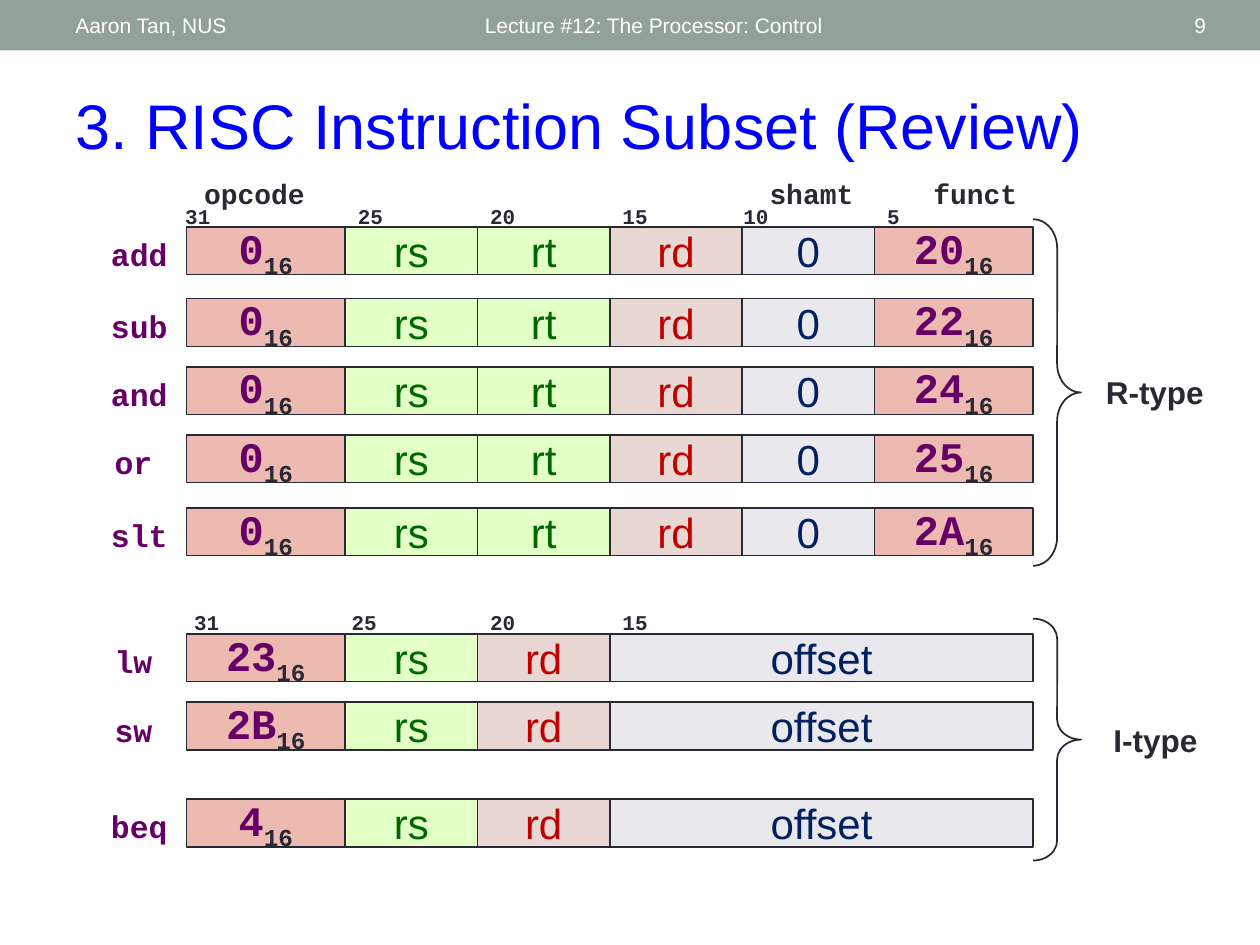
from dataclasses import dataclass

from pptx import Presentation
from pptx.dml.color import RGBColor
from pptx.enum.shapes import MSO_SHAPE
from pptx.enum.text import MSO_ANCHOR, PP_ALIGN
from pptx.util import Inches, Pt


@dataclass(frozen=True)
class Theme:
    sans: str = "Arial"
    mono: str = "Courier New"
    banner: str = "93A299"
    white: str = "FFFFFF"
    title: str = "0000FF"
    ink: str = "292934"
    code: str = "660066"
    code_fill: str = "EDBAB1"
    source: str = "006600"
    source_fill: str = "E2FFC5"
    target: str = "C00000"
    target_fill: str = "E9D7D3"
    value: str = "002060"
    value_fill: str = "E8E8ED"
    title_size: int = 36
    field_size: int = 24
    label_size: int = 18
    heading_size: int = 16
    small_size: int = 12


theme = Theme()

# Grid: one column per instruction bit, bit 31 at the left
BIT = 0.21
WORD_LEFT = 1.48
WORD_RIGHT = WORD_LEFT + 32 * BIT
ROW_HEIGHT = 0.38

deck = Presentation()
deck.slide_width, deck.slide_height = Inches(10), Inches(7.5)
slide = deck.slides.add_slide(deck.slide_layouts[6])


def write(text, *, at, size, color, font=theme.sans, bold=False, sub="", fill=None,
          align=PP_ALIGN.CENTER, anchor=MSO_ANCHOR.TOP, wrap=False):
    """Put text in a plain box, or in an outlined cell when a fill is given."""
    place = [Inches(length) for length in at]
    if fill:
        holder = slide.shapes.add_shape(MSO_SHAPE.RECTANGLE, *place)
        holder.shadow.inherit = False
        holder.fill.solid()
        holder.fill.fore_color.rgb = RGBColor.from_string(fill)
        holder.line.color.rgb = RGBColor.from_string(theme.ink)
        holder.line.width = Pt(1)
    else:
        holder = slide.shapes.add_textbox(*place)
    frame = holder.text_frame
    frame.word_wrap = wrap
    frame.vertical_anchor = anchor
    paragraph = frame.paragraphs[0]
    paragraph.alignment = align
    for words, shade in ((text, color), (sub, theme.ink)):
        if words:
            run = paragraph.add_run()
            run.text = words
            run.font.name, run.font.size, run.font.bold = font, Pt(size), bold
            run.font.color.rgb = RGBColor.from_string(shade)
    if sub:
        run._r.get_or_add_rPr().set("baseline", "-25000")


# Banner and title
banner = slide.shapes.add_shape(MSO_SHAPE.RECTANGLE, 0, 0, deck.slide_width, Inches(0.4))
banner.shadow.inherit = False
banner.fill.solid()
banner.fill.fore_color.rgb = RGBColor.from_string(theme.banner)
banner.line.fill.background()
for words, left, width, align in (
    ("Aaron Tan, NUS", 0.5, 3.17, PP_ALIGN.LEFT),
    ("Lecture #12: The Processor: Control", 3.75, 4.5, PP_ALIGN.LEFT),
    ("9", 8.72, 0.95, PP_ALIGN.RIGHT),
):
    write(words, at=(left, 0.02, width, 0.36), size=theme.small_size, color=theme.white,
          align=align, anchor=MSO_ANCHOR.MIDDLE, wrap=True)
write("3. RISC Instruction Subset (Review)", at=(0.5, 0.64, 9, 0.71),
      size=theme.title_size, color=theme.title, align=PP_ALIGN.LEFT, wrap=True)

# Field kinds: text colour, fill
code = (theme.code, theme.code_fill)
source = (theme.source, theme.source_fill)
target = (theme.target, theme.target_fill)
value = (theme.value, theme.value_fill)

# Layouts: text, width in bits, kind; a field without text takes the row's next hex code
r_fields = [(None, 6, code), ("rs", 5, source), ("rt", 5, source),
            ("rd", 5, target), ("0", 5, value), (None, 6, code)]
i_fields = [(None, 6, code), ("rs", 5, source), ("rd", 5, target), ("offset", 16, value)]

# Instructions: name, top, layout, hex codes
instructions = [
    ("add", 1.8, r_fields, ("0", "20")),
    ("sub", 2.37, r_fields, ("0", "22")),
    ("and", 2.91, r_fields, ("0", "24")),
    ("or", 3.45, r_fields, ("0", "25")),
    ("slt", 4.03, r_fields, ("0", "2A")),
    ("lw", 5.03, i_fields, ("23",)),
    ("sw", 5.57, i_fields, ("2B",)),
    ("beq", 6.34, i_fields, ("4",)),
]
for name, top, fields, hex_codes in instructions:
    left, width = (0.78, 0.65) if len(name) == 3 else (0.81, 0.5)
    write(name, at=(left, top + 0.02, width, 0.4), size=theme.label_size,
          color=theme.code, font=theme.mono, bold=True)
    codes = iter(hex_codes)
    left = WORD_LEFT
    for field, bits, (color, fill) in fields:
        is_code = field is None
        write(next(codes) if is_code else field, sub="16" if is_code else "",
              at=(left, top, bits * BIT, ROW_HEIGHT), size=theme.field_size,
              color=color, fill=fill, font=theme.mono if is_code else theme.sans,
              bold=is_code, wrap=not is_code, anchor=MSO_ANCHOR.MIDDLE)
        left += bits * BIT

# Field headings
for heading, left, width in (("opcode", 1.5, 1.04), ("shamt", 5.99, 0.9), ("funct", 7.29, 0.9)):
    write(heading, at=(left, 1.35, width, 0.37), size=theme.heading_size,
          color=theme.ink, font=theme.mono, bold=True)

# Bit numbers above the first row of each type, with their shift from the field's edge
bit_marks = [
    (1.57, ((31, -0.11), (25, 0), (20, 0), (15, 0), (10, -0.09), (5, 0))),
    (4.79, ((31, -0.04), (25, -0.05), (20, 0), (15, 0))),
]
for top, marks in bit_marks:
    for bit, shift in marks:
        write(str(bit), at=(WORD_LEFT + (31 - bit) * BIT + shift, top, 0.1 * len(str(bit)) + 0.2, 0.3),
              size=theme.small_size, color=theme.ink, font=theme.mono, bold=True)

# Braces and type names
for kind, top, height, curve, left, width in (
    ("R-type", 1.74, 2.75, 0.6, 8.67, 0.99),
    ("I-type", 4.91, 1.92, 0.42, 8.73, 0.88),
):
    brace = slide.shapes.add_shape(MSO_SHAPE.RIGHT_BRACE, Inches(WORD_RIGHT), Inches(top),
                                   Inches(0.38), Inches(height))
    brace.shadow.inherit = False
    brace.adjustments[0], brace.adjustments[1] = curve, 0.5
    brace.fill.background()
    brace.line.color.rgb = RGBColor.from_string(theme.ink)
    brace.line.width = Pt(1)
    write(kind, at=(left, top + height / 2 - 0.2, width, 0.4), size=theme.label_size,
          color=theme.ink, bold=True)

deck.save("out.pptx")
